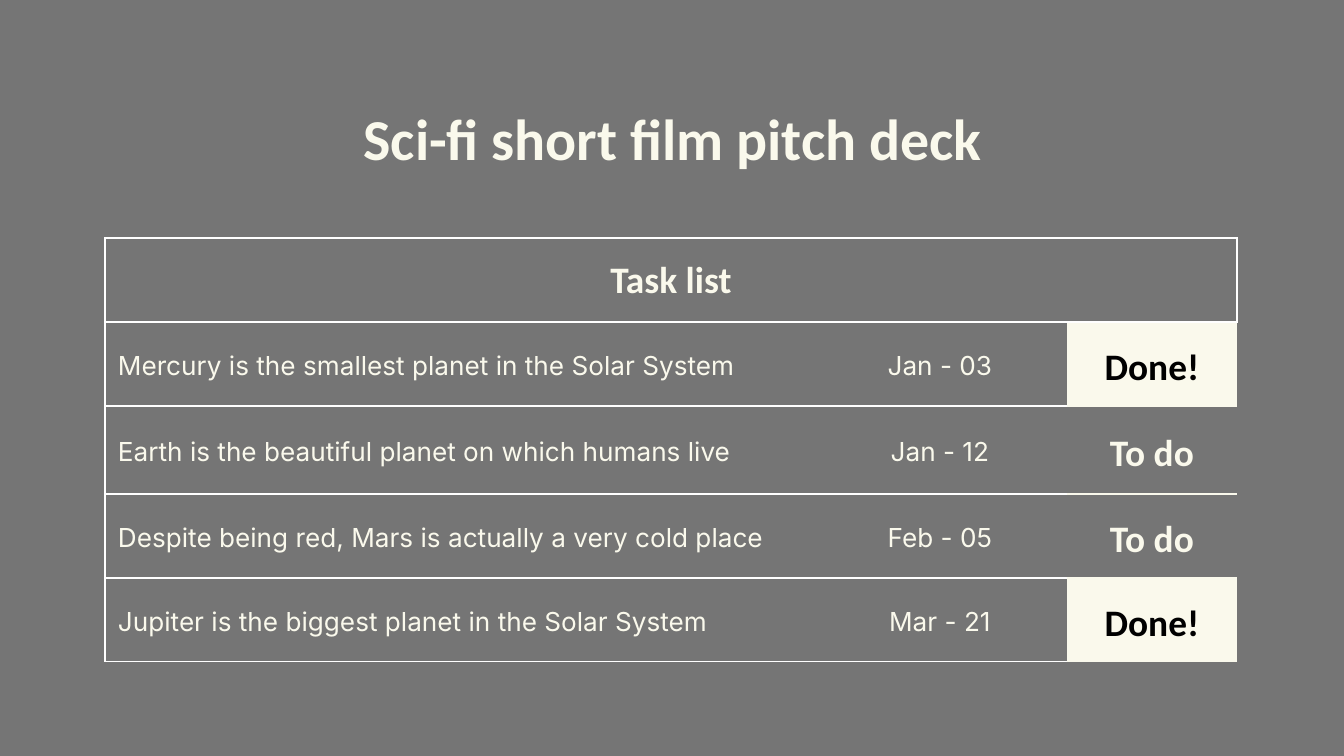
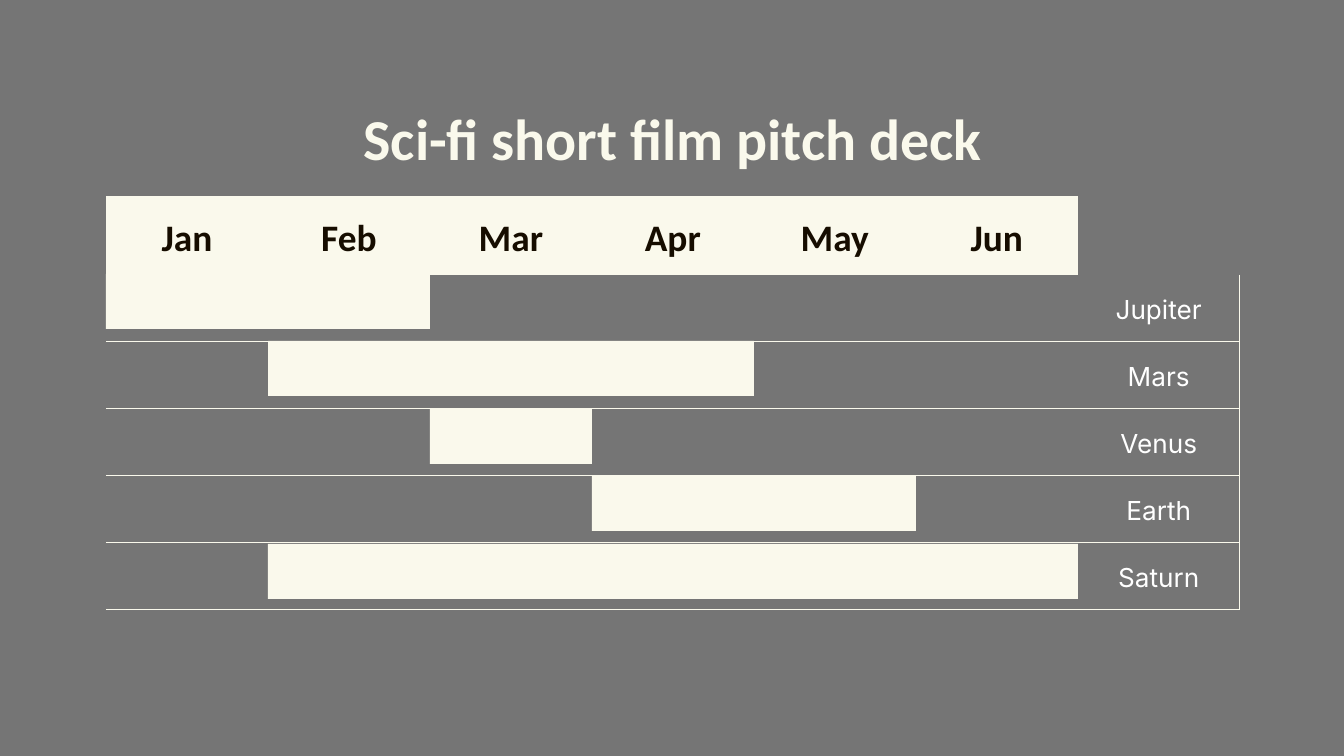
from dataclasses import dataclass

from lxml import etree
from pptx import Presentation
from pptx import util as u
from pptx.dml.color import RGBColor
from pptx.enum import shapes, text
from pptx.oxml.ns import qn


@dataclass(frozen=True)
class Theme:
    backdrop: str = "757575"
    cream: str = "FAF9EC"
    white: str = "FFFFFF"
    black: str = "000000"
    month: str = "160D00"
    heading_font: str = "Calibri"
    body_font: str = "Inter"
    title_size: int = 31
    heading_size: int = 20
    body_size: int = 14
    line_spacing: float = 1.15
    border_width: float = 0.75
    inset: int = 13


THEME = Theme()
PX_PER_INCH = 134.4
TITLE = "Sci-fi short film pitch deck"
NO_GRID_STYLE = "{2D5ABB26-0587-4C30-8999-92F81FD0307C}"
CENTER = text.PP_ALIGN.CENTER
LEFT = text.PP_ALIGN.LEFT

TASKS = [
    ("Mercury is the smallest planet in the Solar System", "Jan - 03", True),
    ("Earth is the beautiful planet on which humans live", "Jan - 12", False),
    ("Despite being red, Mars is actually a very cold place", "Feb - 05", False),
    ("Jupiter is the biggest planet in the Solar System", "Mar - 21", True),
]
MONTHS = ["Jan", "Feb", "Mar", "Apr", "May", "Jun"]
SCHEDULE = [
    ("Jupiter", 0, 2),
    ("Mars", 1, 3),
    ("Venus", 2, 1),
    ("Earth", 3, 2),
    ("Saturn", 1, 5),
]


def px(length):
    return u.Inches(length / PX_PER_INCH)


def rgb(color):
    return RGBColor.from_string(color)


def write(frame, words, size, font, color, bold, align=CENTER):
    para = frame.paragraphs[0]
    para.alignment = align
    para.line_spacing = THEME.line_spacing
    span = para.add_run()
    span.text = words
    span.font.size = u.Pt(size)
    span.font.name = font
    span.font.bold = bold
    span.font.color.rgb = rgb(color)


def write_heading(cell, words, color):
    write(cell.text_frame, words, THEME.heading_size, THEME.heading_font, color, True)


def write_body(cell, words, color, align=CENTER):
    write(cell.text_frame, words, THEME.body_size, THEME.body_font, color, False, align)


def set_insets(target):
    target.margin_left = target.margin_right = px(THEME.inset)
    target.margin_top = target.margin_bottom = px(THEME.inset)


def add_page(deck):
    page = deck.slides.add_slide(deck.slide_layouts[5])
    box = page.shapes.title
    box.left, box.top, box.width, box.height = map(px, (106, 79, 1133, 93))
    frame = box.text_frame
    frame.word_wrap = True
    frame.auto_size = text.MSO_AUTO_SIZE.NONE
    frame.vertical_anchor = text.MSO_ANCHOR.TOP
    set_insets(frame)
    write(frame, TITLE, THEME.title_size, THEME.heading_font, THEME.cream, True)
    return page


def add_grid(page, left, top, widths, heights):
    box = page.shapes.add_table(
        len(heights), len(widths), px(left), px(top), px(sum(widths)), px(sum(heights))
    )
    table = box.table
    table.first_row = table.horz_banding = False
    table._tbl.tblPr.find(qn("a:tableStyleId")).text = NO_GRID_STYLE
    for column, width in zip(table.columns, widths):
        column.width = px(width)
    for row, height in zip(table.rows, heights):
        row.height = px(height)
    for cell in table.iter_cells():
        set_insets(cell)
        cell.vertical_anchor = text.MSO_ANCHOR.MIDDLE
    return table


def style_cell(cell, sides="", border=THEME.white, fill=None):
    properties = cell._tc.get_or_add_tcPr()
    for side in "LRTB":
        if side in sides:
            line = etree.SubElement(properties, qn(f"a:ln{side}"))
            line.set("w", str(int(u.Pt(THEME.border_width))))
            solid = etree.SubElement(line, qn("a:solidFill"))
            etree.SubElement(solid, qn("a:srgbClr")).set("val", border)
    if fill:
        cell.fill.solid()
        cell.fill.fore_color.rgb = rgb(fill)
    else:
        cell.fill.background()


def add_bar(page, left, top, width, height):
    bar = page.shapes.add_shape(
        shapes.MSO_SHAPE.RECTANGLE, px(left), px(top), px(width), px(height)
    )
    bar.shadow.inherit = False
    bar.fill.solid()
    bar.fill.fore_color.rgb = rgb(THEME.cream)
    bar.line.fill.background()


def build_task_list(deck):
    page = add_page(deck)
    table = add_grid(page, 105, 238, [708, 254, 170], [84, 84, 88, 84, 84])
    header = table.cell(0, 0)
    header.merge(table.cell(0, 2))
    header.vertical_anchor = text.MSO_ANCHOR.TOP
    style_cell(header, "LRTB")
    write_heading(header, "Task list", THEME.cream)
    for row, (task, date, done) in enumerate(TASKS, 1):
        task_cell, date_cell, status_cell = (table.cell(row, i) for i in range(3))
        style_cell(task_cell, "LTB")
        write_body(task_cell, task, THEME.cream, LEFT)
        style_cell(date_cell, "TB")
        write_body(date_cell, date, THEME.cream)
        style_cell(status_cell, "TB", THEME.white if row == 1 else THEME.cream,
                   THEME.cream if done else None)
        write_heading(status_cell, "Done!" if done else "To do",
                      THEME.black if done else THEME.cream)


def build_schedule(deck):
    page = add_page(deck)
    left, month_width = 106, 162
    count = len(MONTHS)
    table = add_grid(page, left, 196, [month_width] * (count + 1),
                     [71] + [67] * len(SCHEDULE))
    for column, month in enumerate(MONTHS):
        cell = table.cell(0, column)
        style_cell(cell, fill=THEME.cream)
        write_heading(cell, month, THEME.month)
    style_cell(table.cell(0, count))
    for index, (planet, start, length) in enumerate(SCHEDULE):
        row = index + 1
        sides = "TB" if index else "B"
        track, label = table.cell(row, 0), table.cell(row, count)
        track.merge(table.cell(row, count - 1))
        style_cell(track, sides, THEME.cream)
        style_cell(label, sides + "R", THEME.cream)
        write_body(label, planet, THEME.white)
        add_bar(page, left + start * month_width, 274 + 270 * index // 4,
                length * month_width, 55)


def main():
    deck = Presentation()
    deck.slide_width, deck.slide_height = px(1344), px(756)
    backdrop = deck.slide_master.background.fill
    backdrop.solid()
    backdrop.fore_color.rgb = rgb(THEME.backdrop)
    build_task_list(deck)
    build_schedule(deck)
    deck.save("out.pptx")


if __name__ == "__main__":
    main()
